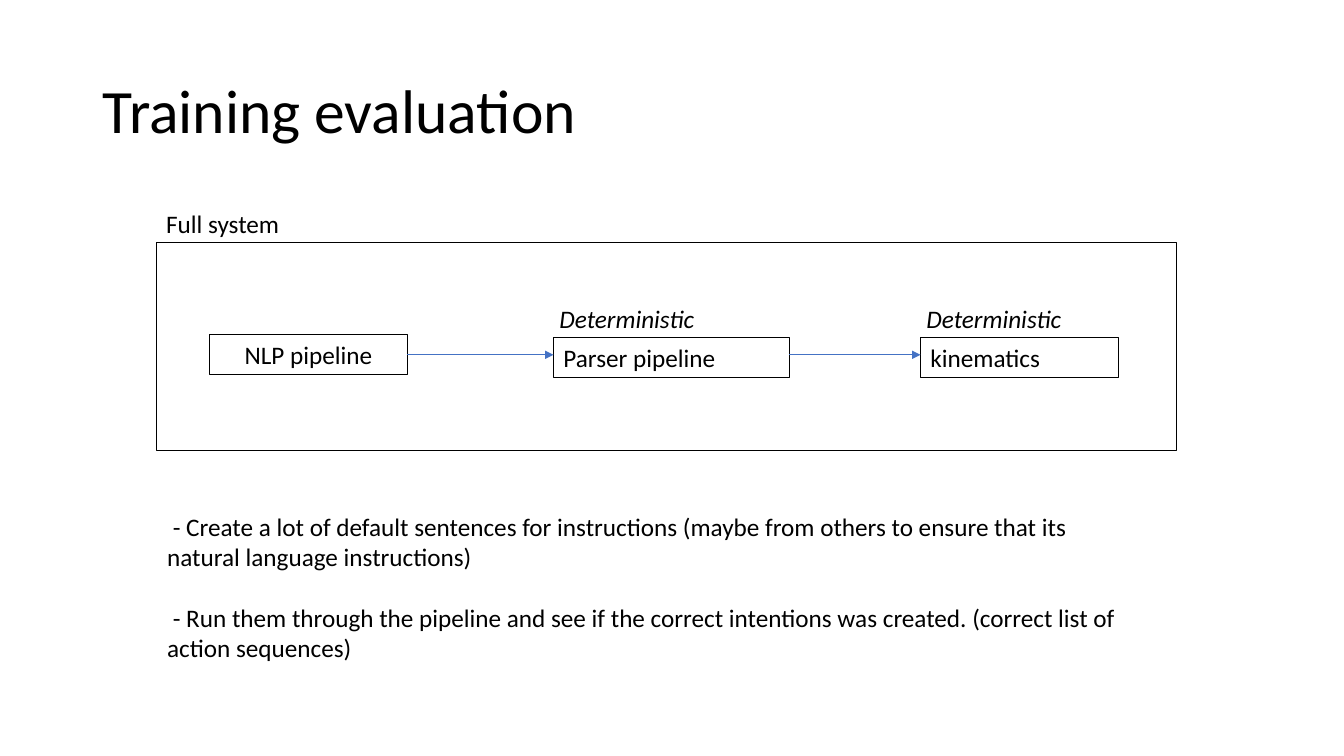
from dataclasses import dataclass

from lxml.etree import SubElement
from pptx import Presentation
from pptx.dml.color import RGBColor
from pptx.enum.shapes import MSO_CONNECTOR, MSO_SHAPE
from pptx.enum.text import MSO_ANCHOR, PP_ALIGN
from pptx.oxml.ns import qn
from pptx.util import Emu, Pt

PX = 9144


@dataclass(frozen=True)
class Theme:
    """Colours, type and line widths of the slide."""
    font: str = "Calibri"
    ink: RGBColor = RGBColor(0, 0, 0)
    accent: RGBColor = RGBColor(0x44, 0x72, 0xC4)
    title: int = 44
    body: int = 18
    gap: int = 22
    frame: float = 0.75
    arrow: float = 0.5


THEME = Theme()


def scale(*sizes):
    """Turn px lengths into EMU."""
    return [Emu(size * PX) for size in sizes]


def style(para, text, size, align=PP_ALIGN.LEFT, italic=False):
    """Fill and format one paragraph."""
    para.text = text
    para.alignment = align
    font = para.font
    font.name, font.size, font.italic = THEME.font, Pt(size), italic
    font.color.rgb = THEME.ink


def add_title(slide, box, text):
    """Place the slide title in the box."""
    title = slide.shapes.title
    title.left, title.top, title.width, title.height = scale(*box)
    title.text_frame.vertical_anchor = MSO_ANCHOR.MIDDLE
    para = title.text_frame.paragraphs[0]
    style(para, text, THEME.title)
    para.line_spacing = 0.9


def add_text(slide, box, lines, italic=False):
    """Place wrapped paragraphs in the box."""
    frame = slide.shapes.add_textbox(*scale(*box)).text_frame
    frame.word_wrap = True
    for index, line in enumerate(lines):
        para = frame.add_paragraph() if index else frame.paragraphs[0]
        style(para, line, THEME.body, italic=italic)
        if index:
            para.space_before = Pt(THEME.gap)


def add_box(slide, box, text="", align=PP_ALIGN.LEFT):
    """Draw an outlined box with an optional label."""
    shape = slide.shapes.add_shape(MSO_SHAPE.RECTANGLE, *scale(*box))
    shape.shadow.inherit = False
    shape.fill.background()
    shape.line.color.rgb = THEME.ink
    shape.line.width = Pt(THEME.frame)
    if text:
        shape.text_frame.vertical_anchor = MSO_ANCHOR.TOP
        style(shape.text_frame.paragraphs[0], text, THEME.body, align)


def add_arrow(slide, start, end, y):
    """Draw a level arrow from start to end."""
    line = slide.shapes.add_connector(MSO_CONNECTOR.STRAIGHT, *scale(start, y, end, y))
    line.line.color.rgb = THEME.accent
    line.line.width = Pt(THEME.arrow)
    SubElement(line.line._get_or_add_ln(), qn("a:tailEnd"), type="triangle")
    SubElement(line._element.spPr, qn("a:effectLst"))


def add_system(slide, box):
    """Draw the framed system with its chain of stages."""
    left, top, _, _ = box
    add_box(slide, box)
    add_text(slide, (left, top - 39, 673, 40), ["Full system"])
    stages = [
        ("NLP pipeline", 53, 91, 196, PP_ALIGN.CENTER, ""),
        ("Parser pipeline", 394, 94, 234, PP_ALIGN.LEFT, "Deterministic"),
        ("kinematics", 758, 94, 196, PP_ALIGN.LEFT, "Deterministic"),
    ]
    for text, x, y, width, align, note in stages:
        add_box(slide, (left + x, top + y, width, 40), text, align)
        if note:
            add_text(slide, (left + x - 4, top + y - 39, 187, 40), [note], True)
    for (_, x, _, width, _, _), (_, end, *_) in zip(stages, stages[1:]):
        add_arrow(slide, left + x + width, left + end, top + 111)


def main():
    """Build and save the slide."""
    deck = Presentation()
    deck.slide_width, deck.slide_height = scale(1333, 750)
    slide = deck.slides.add_slide(deck.slide_layouts[5])
    add_title(slide, (92, 40, 1150, 145), "Training evaluation")
    add_system(slide, (155, 241, 1012, 206))
    add_text(slide, (156, 502, 967, 162), [
        " - Create a lot of default sentences for instructions (maybe from others "
        "to ensure that its natural language instructions)",
        " - Run them through the pipeline and see if the correct intentions was "
        "created. (correct list of action sequences)",
    ])
    deck.save("out.pptx")


if __name__ == "__main__":
    main()
